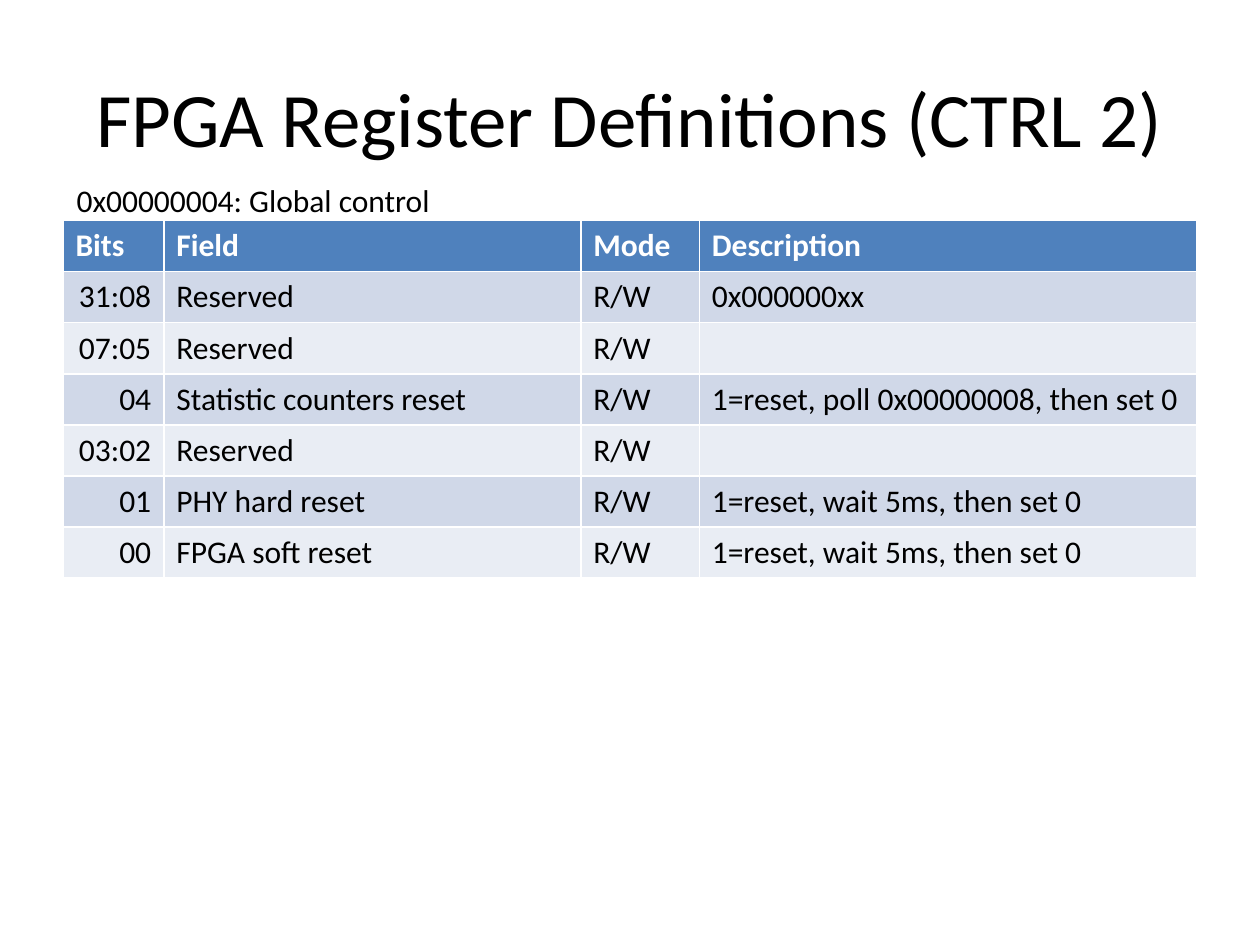
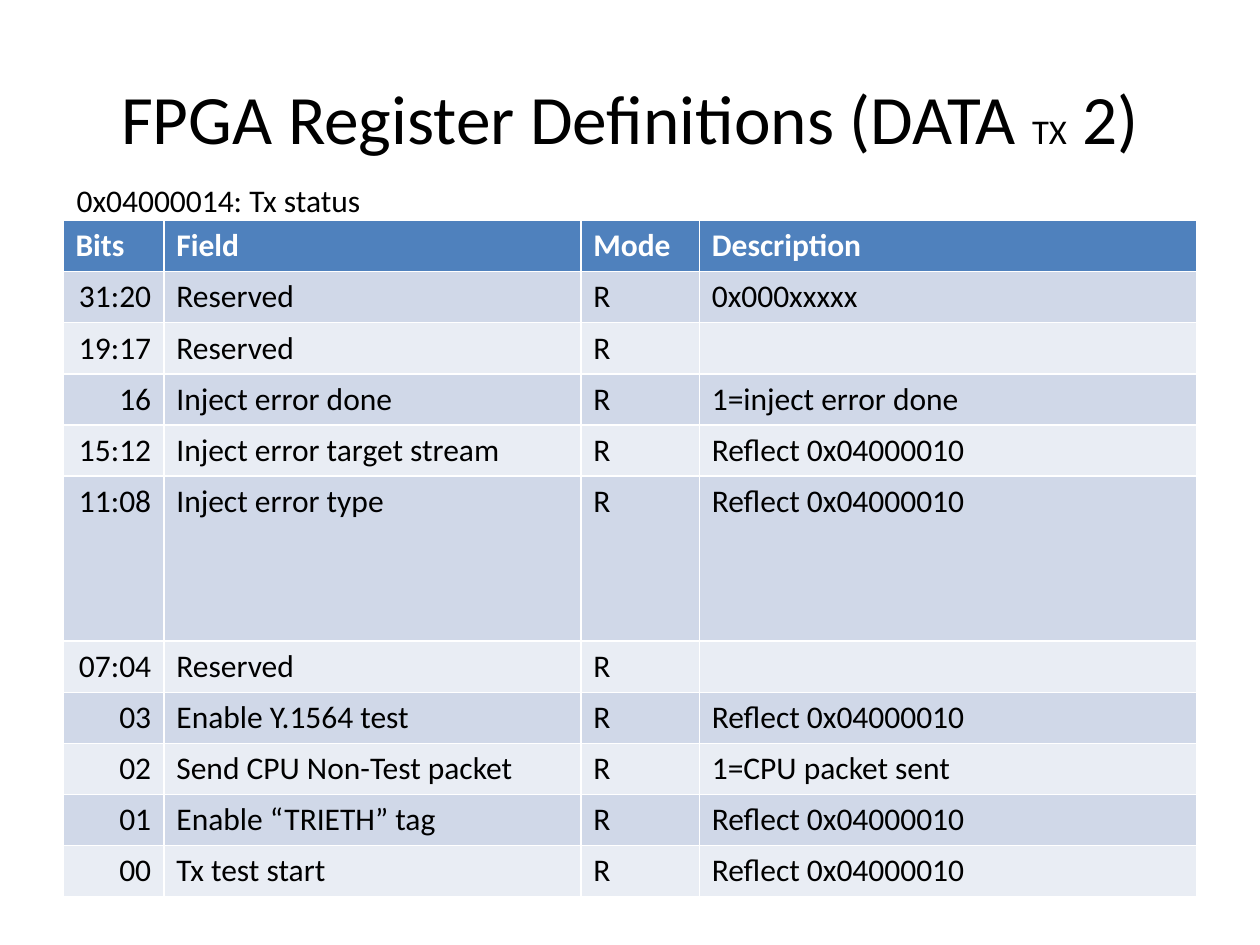
from dataclasses import dataclass

from pptx import Presentation
from pptx.dml.color import RGBColor
from pptx.enum.text import MSO_ANCHOR, MSO_AUTO_SIZE, PP_ALIGN
from pptx.slide import Slide
from pptx.text.text import Font
from pptx.util import Pt

COLORS = {
    "text": "000000",
    "header_text": "FFFFFF",
    "header": "4F81BD",
    "odd_row": "D0D8E8",
    "even_row": "E9EDF4",
}
FONT = "Calibri"
BODY_SIZE = 18
MARGIN, CONTENT_WIDTH = 36, 648
TABLE_TOP = 126
ROW_HEIGHT = 29.2
HEADINGS = ("Bits", "Field", "Mode", "Description")
COLUMN_WIDTHS = (57.6, 238.3, 67.7, 284.4)


@dataclass(frozen=True)
class BitField:
    bits: str
    field: str = "Reserved"
    description: str = ""
    height: float = ROW_HEIGHT


@dataclass(frozen=True)
class Register:
    title: tuple[tuple[str, float], ...]  # text and size of each part
    caption: str
    caption_width: float
    mode: str
    fields: tuple[BitField, ...]


RESET_HINT = "1=reset, wait 5ms, then set 0"
REFLECT = "Reflect 0x04000010"

REGISTERS = (
    Register(
        (("FPGA Register Definitions (CTRL 2)", 44),),
        "0x00000004: Global control", 219, "R/W",
        (
            BitField("31:08", description="0x000000xx"),
            BitField("07:05"),
            BitField("04", "Statistic counters reset",
                     "1=reset, poll 0x00000008, then set 0"),
            BitField("03:02"),
            BitField("01", "PHY hard reset", RESET_HINT),
            BitField("00", "FPGA soft reset", RESET_HINT),
        ),
    ),
    Register(
        (("FPGA Register Definitions (DATA ", 39.6), ("TX", 19.8), (" 2)", 39.6)),
        "0x04000014: Tx status", 178.5, "R",
        (
            BitField("31:20", description="0x000xxxxx"),
            BitField("19:17"),
            BitField("16", "Inject error done", "1=inject error done"),
            BitField("15:12", "Inject error target stream", REFLECT),
            BitField("11:08", "Inject error type", REFLECT, height=94.4),
            BitField("07:04"),
            BitField("03", "Enable Y.1564 test", REFLECT),
            BitField("02", "Send CPU Non-Test packet", "1=CPU packet sent"),
            BitField("01", "Enable “TRIETH” tag", REFLECT),
            BitField("00", "Tx test start", REFLECT),
        ),
    ),
)


def style_font(font: Font, color: str = "text", size: float = BODY_SIZE,
               bold: bool = False) -> None:
    font.name = FONT
    font.size = Pt(size)
    font.bold = bold
    font.color.rgb = RGBColor.from_string(COLORS[color])


def set_title(slide: Slide, parts: tuple[tuple[str, float], ...]) -> None:
    title = slide.shapes.title
    title.left, title.top = Pt(MARGIN), Pt(21.6)
    title.width, title.height = Pt(CONTENT_WIDTH), Pt(90)
    frame = title.text_frame
    frame.auto_size = MSO_AUTO_SIZE.NONE
    frame.vertical_anchor = MSO_ANCHOR.MIDDLE
    paragraph = frame.paragraphs[0]
    paragraph.alignment = PP_ALIGN.CENTER
    for text, size in parts:
        run = paragraph.add_run()
        run.text = text
        style_font(run.font, size=size)


def add_bit_table(slide: Slide, register: Register) -> None:
    rows = [HEADINGS] + [(bit.bits, bit.field, register.mode, bit.description)
                         for bit in register.fields]
    heights = [ROW_HEIGHT] + [bit.height for bit in register.fields]
    table = slide.shapes.add_table(
        len(rows), len(HEADINGS), Pt(MARGIN), Pt(TABLE_TOP),
        Pt(CONTENT_WIDTH), Pt(sum(heights))).table
    for column, width in zip(table.columns, COLUMN_WIDTHS):
        column.width = Pt(width)

    for index, (texts, height) in enumerate(zip(rows, heights)):
        table.rows[index].height = Pt(height)
        is_header = index == 0
        band = "header" if is_header else "odd_row" if index % 2 else "even_row"
        for position, text in enumerate(texts):
            cell = table.cell(index, position)
            cell.fill.solid()
            cell.fill.fore_color.rgb = RGBColor.from_string(COLORS[band])
            cell.text = text
            paragraph = cell.text_frame.paragraphs[0]
            if position == 0 and not is_header:
                paragraph.alignment = PP_ALIGN.RIGHT
            style_font(paragraph.font, "header_text" if is_header else "text",
                       bold=is_header)


def add_caption(slide: Slide, text: str, width: float) -> None:
    caption = slide.shapes.add_textbox(Pt(36.7), Pt(100.1), Pt(width), Pt(29))
    frame = caption.text_frame
    frame.word_wrap = False
    frame.auto_size = MSO_AUTO_SIZE.SHAPE_TO_FIT_TEXT
    frame.text = text
    style_font(frame.paragraphs[0].font)


def main() -> None:
    deck = Presentation()
    deck.slide_width, deck.slide_height = Pt(720), Pt(540)
    title_only = deck.slide_layouts.get_by_name("Title Only")
    for register in REGISTERS:
        slide = deck.slides.add_slide(title_only)
        set_title(slide, register.title)
        add_bit_table(slide, register)
        add_caption(slide, register.caption, register.caption_width)
    deck.save("out.pptx")


if __name__ == "__main__":
    main()
